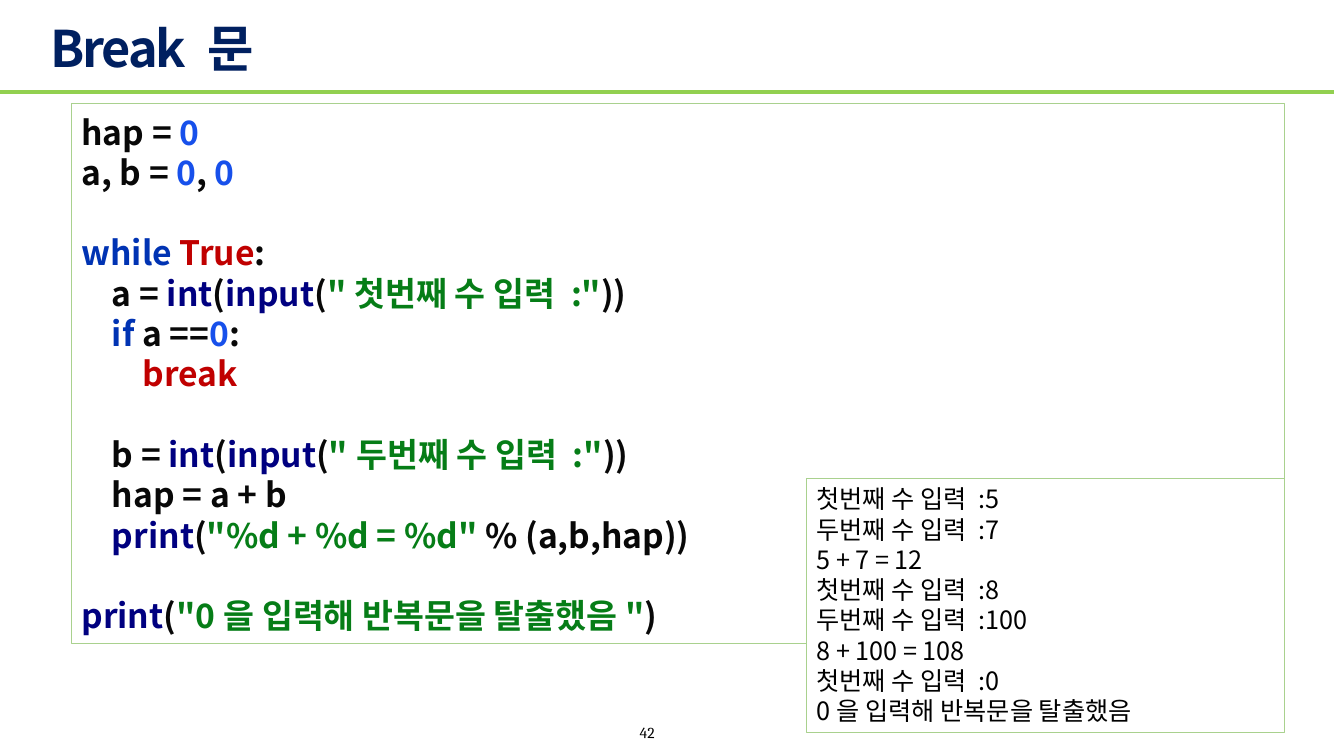
from lxml import etree
from pptx import Presentation
from pptx.dml.color import RGBColor
from pptx.enum.shapes import MSO_CONNECTOR, MSO_SHAPE
from pptx.enum.text import MSO_ANCHOR, MSO_AUTO_SIZE, PP_ALIGN
from pptx.oxml.ns import qn
from pptx.util import Inches, Pt

STRAIGHT = MSO_CONNECTOR.STRAIGHT
RECTANGLE = MSO_SHAPE.RECTANGLE
MIDDLE, TOP = MSO_ANCHOR.MIDDLE, MSO_ANCHOR.TOP
FIT_SHAPE = MSO_AUTO_SIZE.SHAPE_TO_FIT_TEXT
LEFT, CENTER = PP_ALIGN.LEFT, PP_ALIGN.CENTER

BODY_FONT, NUMBER_FONT = "Noto Sans CJK KR", "Cambria"
BLACK, WHITE, NAVY = "000000", "FFFFFF", "002060"
RULE_GREEN, FRAME_GREEN = "92D050", "A9D18E"
PLAIN, NUMBER, KEYWORD = "080808", "1750EB", "0033B3"
RED, BUILTIN, STRING = "C00000", "000080", "067D17"


def read_number(text):
    return [("int", BUILTIN), ("(", PLAIN), ("input", BUILTIN), ("(", PLAIN),
            (text, STRING), ("))", PLAIN)]


CODE = [
    [("hap = ", PLAIN), ("0", NUMBER)],
    [("a, b = ", PLAIN), ("0", NUMBER), (", ", PLAIN), ("0", NUMBER)],
    [],
    [("while ", KEYWORD), ("True", RED), (":", PLAIN)],
    [("    a = ", PLAIN), *read_number('"첫번째 수 입력 :"')],
    [("    ", PLAIN), ("if ", KEYWORD), ("a ==", PLAIN), ("0", NUMBER), (":", PLAIN)],
    [("        ", PLAIN), ("break", RED)],
    [],
    [("    b = ", PLAIN), *read_number('"두번째 수 입력 :"')],
    [("    hap = a + b", PLAIN)],
    [("    ", PLAIN), ("print", BUILTIN), ("(", PLAIN),
     ('"%d + %d = %d" ', STRING), ("% (a,b,hap))", PLAIN)],
    [],
    [("print", BUILTIN), ("(", PLAIN),
     ('"0을 입력해 반복문을 탈출했음"', STRING), (")", PLAIN)],
]
OUTPUT = [
    "첫번째 수 입력 :5",
    "두번째 수 입력 :7",
    "5 + 7 = 12",
    "첫번째 수 입력 :8",
    "두번째 수 입력 :100",
    "8 + 100 = 108",
    "첫번째 수 입력 :0",
    "0을 입력해 반복문을 탈출했음",
]


def color(value):
    return RGBColor.from_string(value)


def add_run(paragraph, text, size, fill, bold=False, font=BODY_FONT):
    run = paragraph.add_run()
    run.text = text
    run.font.size = Pt(size)
    run.font.bold = bold
    run.font.name = font
    run.font.color.rgb = color(fill)
    # Hangul takes its face from the East Asian font
    east_asian = etree.SubElement(run.font._element, qn("a:ea"))
    east_asian.set("typeface", font)
    return run


def add_label(slide, box, text, size, fill, align=LEFT, **style):
    label = slide.shapes.add_textbox(*map(Inches, box))
    label.text_frame.word_wrap = True
    label.text_frame.vertical_anchor = MIDDLE
    paragraph = label.text_frame.paragraphs[0]
    paragraph.alignment = align
    return label, paragraph, add_run(paragraph, text, size, fill, **style)


def add_panel(slide, box, anchor):
    panel = slide.shapes.add_shape(RECTANGLE, *map(Inches, box))
    panel.shadow.inherit = False
    panel.fill.solid()
    panel.fill.fore_color.rgb = color(WHITE)
    panel.line.color.rgb = color(FRAME_GREEN)
    panel.line.width = Pt(0.75)
    frame = panel.text_frame
    frame.word_wrap = True
    frame.auto_size = FIT_SHAPE
    frame.vertical_anchor = anchor
    frame.paragraphs[0].alignment = LEFT
    return frame


def add_header(slide, box):
    left, top, width, height = box
    # Title
    _, paragraph, title = add_label(
        slide, (left + 0.4, top + 0.21, 7.43, 0.59), "Break 문", 36, NAVY, bold=True)
    paragraph.line_spacing = 0.9
    title.font._element.set("spc", "-150")
    # Green rule along the bottom
    ends = (left, top + height, left + width, top + height)
    rule = slide.shapes.add_connector(STRAIGHT, *map(Inches, ends))
    rule.line.color.rgb = color(RULE_GREEN)
    rule.line.width = Pt(3)
    etree.SubElement(rule._element.spPr, qn("a:effectLst"))


def add_code(slide, box):
    paragraph = add_panel(slide, box, MIDDLE).paragraphs[0]
    for index, line in enumerate(CODE):
        if index:
            paragraph.add_line_break()
        for text, fill in line:
            add_run(paragraph, text, 24, fill, bold=True)
    # Line breaks need the code size so that empty lines keep their height
    for line_break in paragraph._p.findall(qn("a:br")):
        props = etree.SubElement(line_break, qn("a:rPr"), sz="2400", b="1")
        for tag in ("a:latin", "a:ea"):
            etree.SubElement(props, qn(tag), typeface=BODY_FONT)


def add_output(slide, box):
    frame = add_panel(slide, box, TOP)
    for index, line in enumerate(OUTPUT):
        paragraph = frame.add_paragraph() if index else frame.paragraphs[0]
        paragraph.alignment = LEFT
        add_run(paragraph, line, 18, BLACK)


def add_page_number(slide, box):
    label, _, _ = add_label(slide, box, "42", 11, BLACK, CENTER, font=NUMBER_FONT)
    label.rotation = 1


def main():
    deck = Presentation()
    deck.slide_width, deck.slide_height = Inches(13.33), Inches(7.5)
    slide = deck.slides.add_slide(deck.slide_layouts[6])
    add_header(slide, (0, 0, 13.23, 0.91))
    add_page_number(slide, (6.08, 7.11, 0.68, 0.31))
    add_code(slide, (0.71, 1.03, 12.03, 5.35))
    add_output(slide, (8, 4.75, 4.74, 2.52))
    deck.save("out.pptx")


if __name__ == "__main__":
    main()
